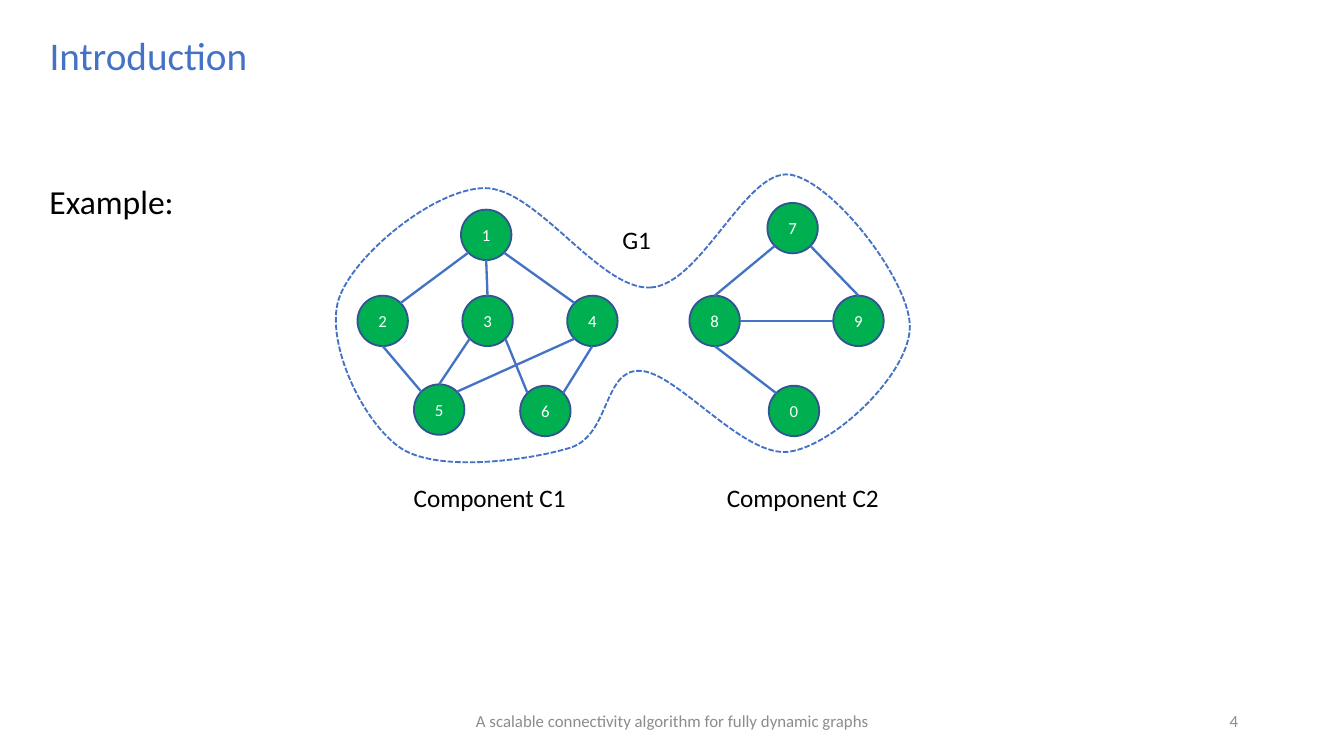
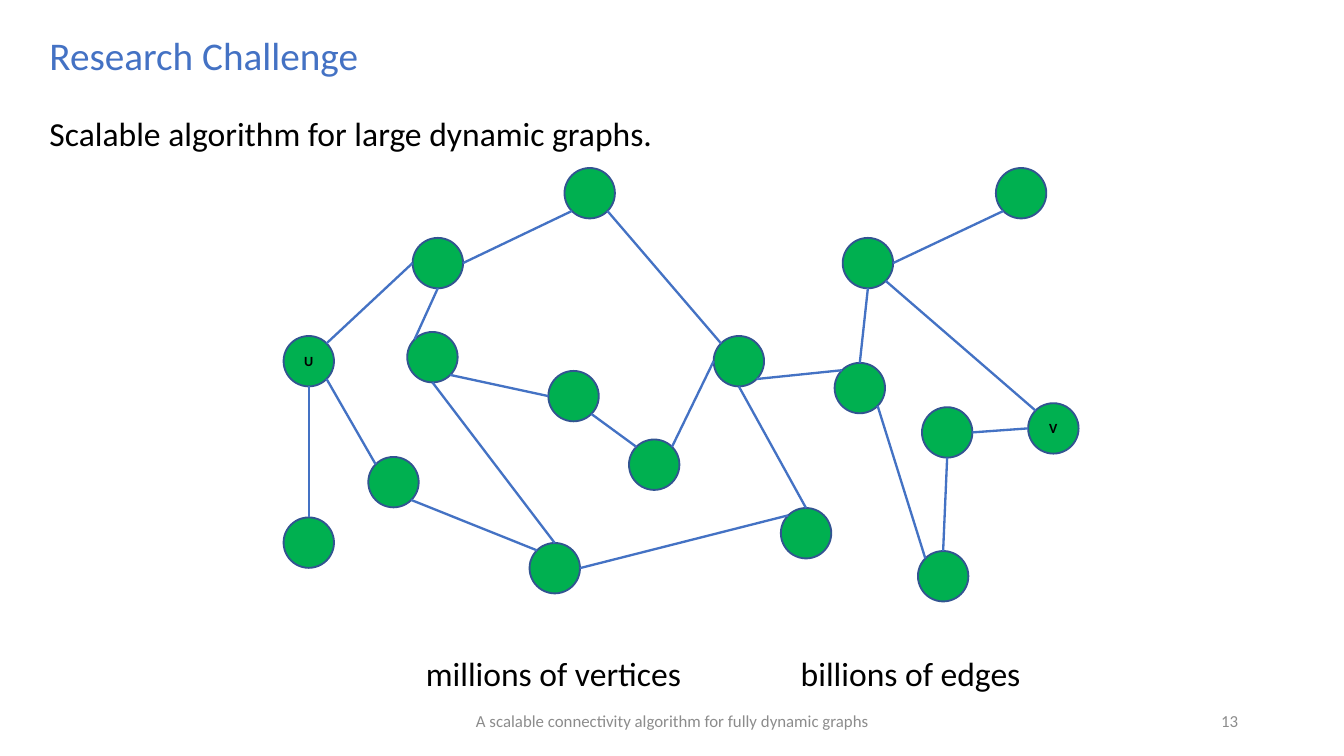
from math import cos, radians, sin

from lxml.etree import SubElement
from pptx import Presentation
from pptx.dml.color import RGBColor
from pptx.enum.dml import MSO_LINE
from pptx.enum.shapes import MSO_CONNECTOR, MSO_SHAPE
from pptx.enum.text import MSO_ANCHOR, MSO_AUTO_SIZE, PP_ALIGN
from pptx.oxml.ns import qn
from pptx.util import Inches, Pt

COLORS = {
    "blue": "4472C4",
    "outline": "325491",
    "green": "00B050",
    "black": "000000",
    "white": "FFFFFF",
    "gray": "8C8C8C",
}
FONT = "Calibri"
FOOTER = "A scalable connectivity algorithm for fully dynamic graphs"
SLIDE_WIDTH = 10
SLIDE_HEIGHT = SLIDE_WIDTH * 9 / 16
MARGIN = 0.27
NODE_SIZE = 3 / 8

# Angle, clockwise from east, of each point where an edge meets a node.
SITES = {"E": 0, "SE": 45, "S": 90, "SW": 135,
         "W": 180, "NW": 225, "N": 270, "NE": 315}

# Left and top of every node, and the edges as node, site, node, site.
COMPONENT_NODES = {
    "1": (3.43, 1.56), "2": (2.66, 2.2), "3": (3.44, 2.2), "4": (4.22, 2.2),
    "5": (3.08, 2.86), "6": (3.87, 2.87), "7": (5.71, 1.51),
    "8": (5.13, 2.2), "9": (6.2, 2.2), "0": (5.72, 2.87),
}
COMPONENT_EDGES = [
    "4 NW 1 SE", "1 SW 2 NE", "5 NW 2 S", "1 S 3 N", "6 NE 4 S", "5 NE 4 SW",
    "5 N 3 SW", "6 NW 3 SE", "8 N 7 SW", "9 N 7 SE", "9 W 8 E", "0 NW 8 S",
]
LARGE_NODES = {
    "A": (4.08, 2.76), "U": (2.11, 2.5), "B": (4.2, 1.25), "C": (3.03, 2.47),
    "D": (3.94, 4.04), "E": (2.11, 3.85), "F": (2.74, 3.4), "G": (3.07, 1.77),
    "V": (7.65, 3), "H": (5.31, 2.5), "I": (7.41, 1.25), "J": (6.86, 3.03),
    "K": (6.83, 4.1), "L": (5.81, 3.78), "M": (6.21, 2.7), "N": (6.27, 1.77),
    "O": (4.68, 3.27),
}
LARGE_EDGES = [
    "E N U S", "F NW U SE", "D NW F SE", "D N C S", "A W C SE", "G E B SW",
    "G S C NW", "L N H S", "M NW H SE", "K NW M SE", "K N J S", "V NW N SE",
    "N E I SW", "N S M N", "J E V W", "H NW B SE", "L NW D E", "U NE G W",
    "O NE H W", "A SE O NW",
]

# Closed outline around both components: start, then control, control, end.
OUTLINE_BOX = (2.5, 1.3, 4.27, 2.14)
OUTLINE_START = (4.84, 2.14)
OUTLINE_CURVES = [
    [(5.22, 2.12), (5.55, 1.25), (5.88, 1.3)],
    [(6.2, 1.35), (6.77, 2.09), (6.77, 2.43)],
    [(6.77, 2.78), (6.21, 3.31), (5.88, 3.36)],
    [(5.54, 3.42), (5.03, 2.76), (4.76, 2.76)],
    [(4.49, 2.75), (4.54, 3.23), (4.25, 3.33)],
    [(3.96, 3.42), (3.28, 3.52), (2.99, 3.34)],
    [(2.7, 3.15), (2.42, 2.55), (2.52, 2.23)],
    [(2.62, 1.91), (3.22, 1.41), (3.6, 1.4)],
    [(3.99, 1.39), (4.46, 2.16), OUTLINE_START],
]


def rgb(name):
    """Return the named palette colour."""
    return RGBColor.from_string(COLORS[name])


def add_run(paragraph, text, size, color, bold=False):
    """Append one styled run to a paragraph."""
    run = paragraph.add_run()
    run.text = text
    run.font.name = FONT
    run.font.size = Pt(size)
    run.font.bold = bold
    run.font.color.rgb = rgb(color)


def add_label(slide, text, left, top, width, height, size, color="black"):
    """Add a single-line text box that fits its text."""
    box = slide.shapes.add_textbox(
        Inches(left), Inches(top), Inches(width), Inches(height))
    box.text_frame.word_wrap = False
    box.text_frame.auto_size = MSO_AUTO_SIZE.SHAPE_TO_FIT_TEXT
    add_run(box.text_frame.paragraphs[0], text, size, color)


def add_footer_text(slide, text, left, width, alignment):
    """Add one gray text in the footer band."""
    box = slide.shapes.add_textbox(
        Inches(left), Inches(5.21), Inches(width), Inches(0.3))
    frame = box.text_frame
    frame.word_wrap = True
    frame.vertical_anchor = MSO_ANCHOR.MIDDLE
    frame.paragraphs[0].alignment = alignment
    add_run(frame.paragraphs[0], text, 9, "gray")


def add_page(presentation, title, title_width, number):
    """Add a blank slide with its title, footer and slide number."""
    slide = presentation.slides.add_slide(presentation.slide_layouts[6])
    add_label(slide, title, MARGIN, 0.18, title_width, 0.45, 21, "blue")
    add_footer_text(slide, FOOTER, 3.31, 3.38, PP_ALIGN.CENTER)
    add_footer_text(slide, str(number), 7.06, 2.25, PP_ALIGN.RIGHT)
    return slide


def add_node(slide, position, text, size, color, bold):
    """Add one round node, with a centred label if text is given."""
    left, top = position
    node = slide.shapes.add_shape(
        MSO_SHAPE.OVAL, Inches(left), Inches(top),
        Inches(NODE_SIZE), Inches(NODE_SIZE))
    node.shadow.inherit = False
    node.fill.solid()
    node.fill.fore_color.rgb = rgb("green")
    node.line.color.rgb = rgb("outline")
    node.line.width = Pt(1)
    if text:
        node.text_frame.vertical_anchor = MSO_ANCHOR.MIDDLE
        paragraph = node.text_frame.paragraphs[0]
        paragraph.alignment = PP_ALIGN.CENTER
        add_run(paragraph, text, size, color, bold)


def site_point(position, site):
    """Return the point on a node's rim at a compass site."""
    radius = NODE_SIZE / 2
    angle = radians(SITES[site])
    left, top = position
    return (Inches(left + radius + radius * cos(angle)),
            Inches(top + radius + radius * sin(angle)))


def add_edge(slide, start, end):
    """Add a straight edge between two points."""
    edge = slide.shapes.add_connector(MSO_CONNECTOR.STRAIGHT, *start, *end)
    edge.line.color.rgb = rgb("blue")
    edge.line.width = Pt(1.25)
    SubElement(edge._element.spPr, qn("a:effectLst"))


def add_graph(slide, nodes, edges, labelled, size, color, bold=False):
    """Draw all nodes and edges, labelling only the given nodes."""
    for name, position in nodes.items():
        text = name if name in labelled else ""
        add_node(slide, position, text, size, color, bold)
    for edge in edges:
        first, first_site, second, second_site = edge.split()
        add_edge(slide, site_point(nodes[first], first_site),
                 site_point(nodes[second], second_site))


def add_curve_command(path, tag, points):
    """Append a drawing command, relative to the outline box, to a path."""
    left, top = OUTLINE_BOX[:2]
    command = SubElement(path, qn(tag))
    for x, y in points:
        SubElement(command, qn("a:pt"),
                   x=str(Inches(x - left)), y=str(Inches(y - top)))


def add_outline(slide):
    """Add the dashed, curved outline around the components."""
    left, top, width, height = (Inches(value) for value in OUTLINE_BOX)
    right, bottom = left + width, top + height
    builder = slide.shapes.build_freeform(left, top)
    builder.add_line_segments([(right, top), (right, bottom), (left, bottom)])
    outline = builder.convert_to_shape()
    path = next(outline._element.iter(qn("a:path")))
    for command in list(path):
        path.remove(command)
    add_curve_command(path, "a:moveTo", [OUTLINE_START])
    for points in OUTLINE_CURVES:
        add_curve_command(path, "a:cubicBezTo", points)
    SubElement(path, qn("a:close"))
    outline.shadow.inherit = False
    outline.fill.background()
    outline.line.color.rgb = rgb("blue")
    outline.line.width = Pt(1)
    outline.line.dash_style = MSO_LINE.SQUARE_DOT


def build_introduction(presentation):
    """Build the example graph with two components."""
    slide = add_page(presentation, "Introduction", 1.69, 4)
    add_label(slide, "Example:", MARGIN, 1.3, 1.14, 0.4, 18)
    add_graph(slide, COMPONENT_NODES, COMPONENT_EDGES, COMPONENT_NODES,
              9, "white")
    add_label(slide, "Component C1", 2.98, 3.54, 1.35, 0.33, 13.5)
    add_label(slide, "Component C2", 5.31, 3.54, 1.35, 0.33, 13.5)
    add_label(slide, " G1", 4.49, 1.62, 0.46, 0.33, 13.5)
    add_outline(slide)


def build_challenge(presentation):
    """Build the large graph with the vertices U and V."""
    slide = add_page(presentation, "Research Challenge", 2.53, 13)
    add_label(slide, "Scalable algorithm for large dynamic graphs.",
              MARGIN, 0.79, 4.74, 0.4, 18)
    add_graph(slide, LARGE_NODES, LARGE_EDGES, "UV", 7.5, "black", bold=True)
    add_label(slide, "millions of vertices", 3.07, 4.81, 2.12, 0.4, 18)
    add_label(slide, "billions of edges", 5.86, 4.81, 1.86, 0.4, 18)


def main():
    """Build and save the presentation."""
    presentation = Presentation()
    presentation.slide_width = Inches(SLIDE_WIDTH)
    presentation.slide_height = Inches(SLIDE_HEIGHT)
    build_introduction(presentation)
    build_challenge(presentation)
    presentation.save("out.pptx")


main()
